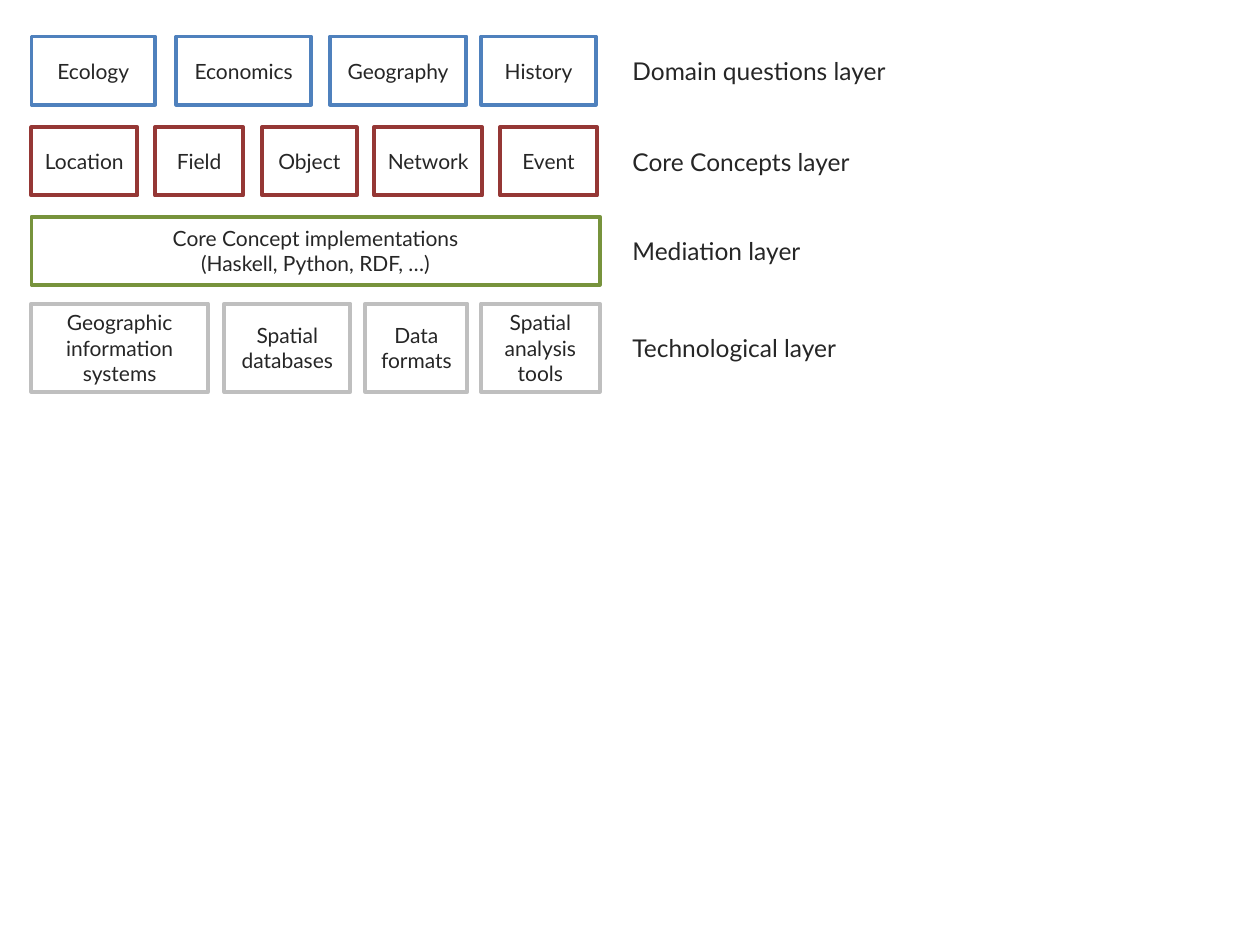
from pptx import Presentation
from pptx.dml.color import RGBColor
from pptx.enum.shapes import MSO_SHAPE
from pptx.enum.text import MSO_ANCHOR, PP_ALIGN
from pptx.util import Pt

RECTANGLE = MSO_SHAPE.RECTANGLE
MIDDLE = MSO_ANCHOR.MIDDLE
LEFT, CENTER = PP_ALIGN.LEFT, PP_ALIGN.CENTER

WHITE = RGBColor(0xFF, 0xFF, 0xFF)
INK = RGBColor(0x26, 0x26, 0x26)
BLUE = RGBColor(0x4F, 0x81, 0xBD)
RED = RGBColor(0x95, 0x37, 0x35)
GREEN = RGBColor(0x77, 0x93, 0x3C)
GRAY = RGBColor(0xBF, 0xBF, 0xBF)

FONT = "Lato"
LABEL_LEFT = 354.3

prs = Presentation()
prs.slide_width, prs.slide_height = Pt(720), Pt(540)
slide = prs.slides.add_slide(prs.slide_layouts[6])


def add_box(text, left, top, width, height, size, align, fill=None, outline=None):
    box = slide.shapes.add_shape(RECTANGLE, Pt(left), Pt(top), Pt(width), Pt(height))
    box.shadow.inherit = False
    if fill is None:
        box.fill.background()
    else:
        box.fill.solid()
        box.fill.fore_color.rgb = fill
    if outline is None:
        box.line.fill.background()
    else:
        box.line.color.rgb = outline
        box.line.width = Pt(2.25)
    frame = box.text_frame
    frame.text = text
    frame.word_wrap = True
    frame.vertical_anchor = MIDDLE
    for paragraph in frame.paragraphs:
        paragraph.alignment = align
        for run in paragraph.runs:
            run.font.name = FONT
            run.font.size = Pt(size)
            run.font.color.rgb = INK


# Layers: label, label width, top, height, outline, fill, boxes (text, left, width)
layers = [
    ("Domain questions layer", 164, 20.9, 39, BLUE, WHITE, [
        ("Ecology", 18, 70.6), ("Economics", 100.8, 77),
        ("Geography", 188.6, 77.8), ("History", 275, 65.5)]),
    ("Core Concepts layer", 164, 72.7, 39, RED, None, [
        ("Location", 18, 60.5), ("Field", 88.6, 50.4), ("Object", 149.8, 54),
        ("Network", 213.8, 61.8), ("Event", 285.8, 55.4)]),
    ("Mediation layer", 134.6, 123.8, 39, GREEN, None, [
        ("Core Concept implementations\n(Haskell, Python, RDF, …)", 18, 324.7)]),
    ("Technological layer", 158.4, 173.5, 50.5, GRAY, WHITE, [
        ("Geographic information systems", 18, 100.8),
        ("Spatial databases", 128.2, 72), ("Data formats", 208.8, 58.3),
        ("Spatial analysis\ntools", 275, 67.7)]),
]

for label, label_width, top, height, outline, fill, boxes in layers:
    for text, left, width in boxes:
        add_box(text, left, top, width, height, 12, CENTER, fill, outline)
    add_box(label, LABEL_LEFT, top, label_width, height, 14, LEFT, WHITE)

prs.save("out.pptx")
